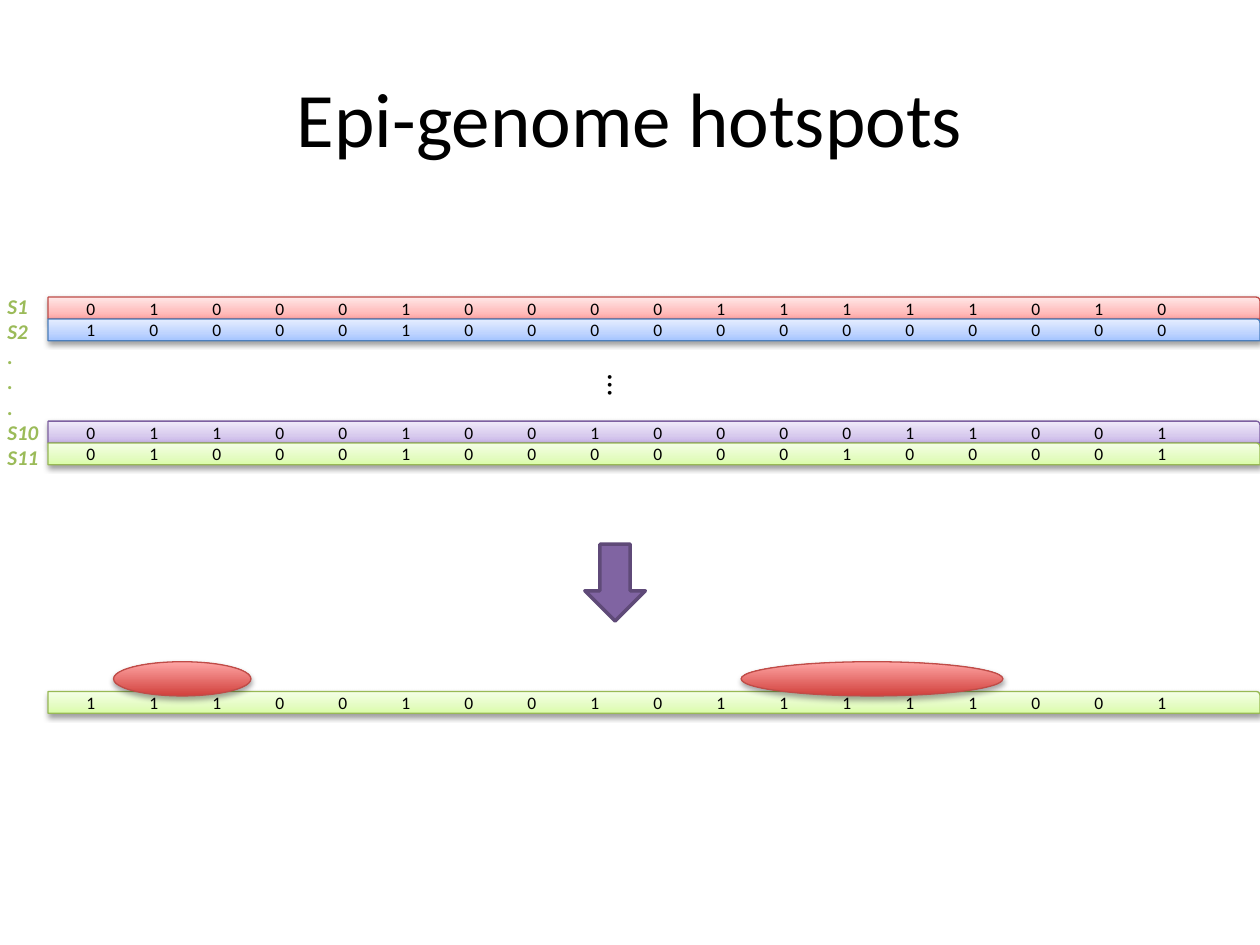
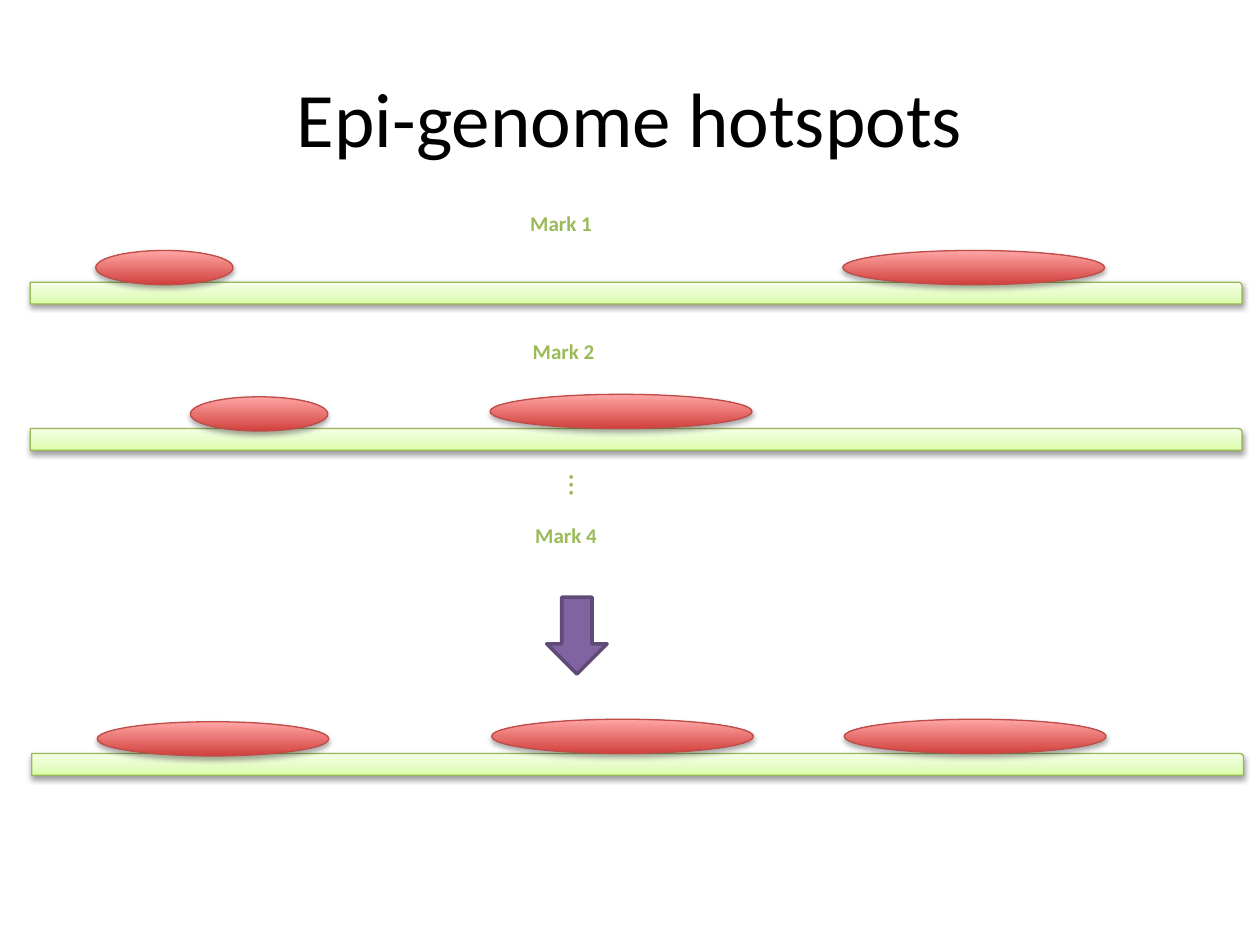
from lxml import etree
from pptx import Presentation
from pptx.dml.color import RGBColor
from pptx.enum.shapes import MSO_SHAPE as Shape
from pptx.enum.text import MSO_ANCHOR as Anchor, MSO_AUTO_SIZE as AutoSize, PP_ALIGN as Align
from pptx.oxml.ns import qn
from pptx.util import Cm, Pt

# Shared look
FONT = "Calibri"
BLACK, LABEL_GREEN = "000000", "9BBB59"
ARROW_FILL, ARROW_LINE = "8064A2", "5F4A78"
# Each palette: line colour, then gradient stops from bottom to top
RED = ("BF4C48", [(0, "FFA6A5"), (35, "FFC0BF"), (100, "FFE7E7")])
BLUE = ("4B7EBC", [(0, "A4C4FF"), (35, "BFD4FF"), (100, "E6EEFF")])
PURPLE = ("7D60A0", [(0, "C9B5E8"), (35, "D8CBEE"), (100, "F0EAF9")])
GREEN = ("98B955", [(0, "DAFDA7"), (35, "E4FCC2"), (100, "F5FFE7")])
HOTSPOT = ("BF4C48", [(0, "D1403C"), (100, "FFA6A5")])

BAR_WIDTH, BAR_HEIGHT = 24.43, 0.44
HOTSPOT_HEIGHT = 0.69
SHORT, MERGED, LONG = 2.77, 4.67, 5.28
TAB_STEP = 1.27


def color(hex_code):
    return RGBColor.from_string(hex_code)


def add_run(paragraph, text, size, ink=BLACK, bold=False, italic=False):
    run = paragraph.add_run()
    run.text = text
    font = run.font
    font.name, font.size, font.bold, font.italic = FONT, Pt(size), bold, italic
    font.color.rgb = color(ink)


def add_color_node(parent, hex_code):
    return etree.SubElement(parent, qn("a:srgbClr"), val=hex_code)


def add_outlined(slide, kind, left, top, width, height, line, line_width):
    shape = slide.shapes.add_shape(kind, Cm(left), Cm(top), Cm(width), Cm(height))
    shape.shadow.inherit = False
    shape.line.color.rgb = color(line)
    shape.line.width = Pt(line_width)
    return shape


def add_glossy(slide, kind, left, top, width, height, palette, shadow_alpha, shadow_drop):
    """Shape with an upward gradient and a soft shadow below."""
    line, stops = palette
    shape = add_outlined(slide, kind, left, top, width, height, line, 0.75)
    shape.fill.gradient()
    shape.fill.gradient_angle = 90
    properties = shape.element.spPr
    stop_list = properties.find(".//" + qn("a:gsLst"))
    for old_stop in list(stop_list):
        stop_list.remove(old_stop)
    for position, hex_code in stops:
        add_color_node(etree.SubElement(stop_list, qn("a:gs"), pos=str(position * 1000)), hex_code)
    shadow = etree.SubElement(
        properties.find(qn("a:effectLst")), qn("a:outerShdw"), blurRad=str(Pt(3.1)),
        dist=str(Pt(shadow_drop)), dir="5400000", rotWithShape="0")
    etree.SubElement(add_color_node(shadow, BLACK), qn("a:alpha"), val=str(shadow_alpha * 1000))
    return shape


def add_genome(slide, left, top, palette=GREEN, marks=""):
    """Genome bar, with one tabbed digit per region if marks are given."""
    bar = add_glossy(slide, Shape.ROUND_1_RECTANGLE, left, top, BAR_WIDTH, BAR_HEIGHT,
                     palette, 38, 1.6)
    if not marks:
        return
    frame = bar.text_frame
    frame.word_wrap = True
    frame.vertical_anchor = Anchor.MIDDLE
    paragraph = frame.paragraphs[0]
    tabs = etree.SubElement(paragraph._p.get_or_add_pPr(), qn("a:tabLst"))
    for number in range(1, len(marks) + 1):
        etree.SubElement(tabs, qn("a:tab"), pos=str(Cm(TAB_STEP * number)), algn="l")
    paragraph.alignment = Align.CENTER
    add_run(paragraph, "".join(mark + "\t" for mark in marks), 10)


def add_hotspot(slide, left, top, width):
    add_glossy(slide, Shape.OVAL, left, top, width, HOTSPOT_HEIGHT, HOTSPOT, 35, 1.8)


def add_down_arrow(slide, left, top):
    arrow = add_outlined(slide, Shape.DOWN_ARROW, left, top, 1.22, 1.55, ARROW_LINE, 2)
    arrow.fill.solid()
    arrow.fill.fore_color.rgb = color(ARROW_FILL)


def add_label(slide, left, top, width, height, lines, size=12, ink=LABEL_GREEN,
              bold=True, italic=False):
    label = slide.shapes.add_textbox(Cm(left), Cm(top), Cm(width), Cm(height))
    frame = label.text_frame
    frame.word_wrap = False
    frame.auto_size = AutoSize.SHAPE_TO_FIT_TEXT
    for index, line in enumerate(lines):
        paragraph = frame.add_paragraph() if index else frame.paragraphs[0]
        add_run(paragraph, line, size, ink, bold, italic)
    return label


def add_vertical_dots(slide, left, top, width, ink):
    dots = add_label(slide, left, top, width, 1.02, ["…"], 18, ink, bold=False)
    dots.rotation = 90
    dots.text_frame.vertical_anchor = Anchor.MIDDLE
    dots.text_frame.paragraphs[0].alignment = Align.CENTER


def add_titled_slide(deck):
    slide = deck.slides.add_slide(deck.slide_layouts[5])
    title = slide.shapes.title
    title.left, title.top, title.width, title.height = Cm(1.27), Cm(0.76), Cm(22.86), Cm(3.18)
    title.text_frame.vertical_anchor = Anchor.MIDDLE
    heading = title.text_frame.paragraphs[0]
    heading.alignment = Align.CENTER
    add_run(heading, "Epi-genome hotspots", 44)
    return slide


def build_samples(deck):
    slide = add_titled_slide(deck)
    left = 0.97
    # Samples and their combined row
    for top, palette, marks in [
        (5.99, RED, "010001000011111010"),
        (5.99 + BAR_HEIGHT, BLUE, "100001000000000000"),
        (8.49, PURPLE, "011001001000011001"),
        (8.49 + BAR_HEIGHT, GREEN, "010001000000100001"),
        (13.94, GREEN, "111001001011111001"),
    ]:
        add_genome(slide, left, top, palette, marks)
    add_vertical_dots(slide, 11.94, 7.26, 1.14, BLACK)
    add_label(slide, -0.1, 5.79, 1.24, 3.84,
              ["S1", "S2", ".", ".", ".", "S10", "S11"], italic=True)
    # Hotspots found in the combined row
    add_hotspot(slide, 2.29, 13.34, SHORT)
    add_hotspot(slide, 14.94, 13.34, LONG)
    add_down_arrow(slide, 11.79, 10.97)


def build_marks(deck):
    slide = add_titled_slide(deck)
    # Mark names
    for name, left, top in [("Mark 1", 10.44, 4.11), ("Mark 2", 10.49, 6.71),
                            ("Mark 4", 10.54, 10.41)]:
        add_label(slide, left, top, 1.78, 0.76, [name])
    # Two marks, then the merged genome, each with its hotspots
    for left, top, hotspots in [
        (0.61, 5.69, [(1.93, 5.05, SHORT), (16.99, 5.05, LONG)]),
        (0.61, 8.64, [(3.84, 8.0, SHORT), (9.88, 7.95, LONG)]),
        (0.64, 15.19, [(1.96, 14.55, MERGED), (9.91, 14.5, LONG), (17.02, 14.5, LONG)]),
    ]:
        add_genome(slide, left, top)
        for hotspot in hotspots:
            add_hotspot(slide, *hotspot)
    add_vertical_dots(slide, 11.25, 9.27, 0.97, LABEL_GREEN)
    add_down_arrow(slide, 11.02, 12.04)


def main():
    deck = Presentation()
    deck.slide_width, deck.slide_height = Cm(25.4), Cm(19.05)
    build_samples(deck)
    build_marks(deck)
    deck.save("out.pptx")


if __name__ == "__main__":
    main()
